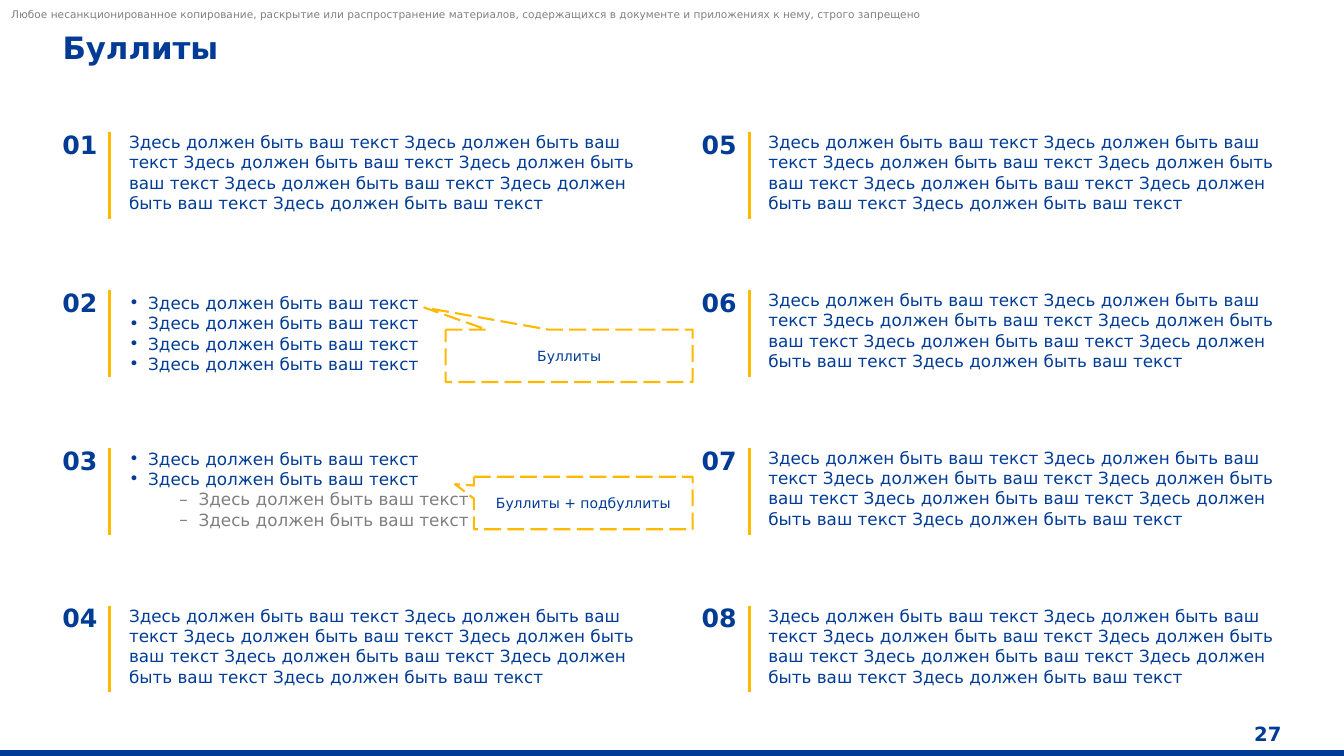
from dataclasses import dataclass

from lxml.etree import SubElement
from pptx import Presentation
from pptx.dml.color import RGBColor
from pptx.enum.dml import MSO_LINE
from pptx.enum.shapes import MSO_CONNECTOR, MSO_SHAPE
from pptx.enum.text import MSO_ANCHOR, MSO_AUTO_SIZE, PP_ALIGN
from pptx.oxml.ns import qn
from pptx.util import Inches, Pt

FONT = "DejaVu Sans"
BLUE, YELLOW, GREY, SUB_GREY, WHITE = "003C96", "FFB900", "808080", "7F7F7F", "FFFFFF"
SAMPLE = "Здесь должен быть ваш текст"
NOTICE = ("Любое несанкционированное копирование, раскрытие или распространение материалов, "
          "содержащихся в документе и приложениях к нему, строго запрещено")

COLUMN_LEFTS = (0.62, 6.96)
ROWS = 4
FIRST_TOP = 1.31
ROW_PITCH = 4.7 / 3
BAR_HEIGHT = 0.86
HANGING = 0.19


@dataclass
class Line:
    text: str
    bullet: str = ""
    level: int = 0
    color: str = BLUE


@dataclass
class Callout:
    text: str
    left: float
    top: float
    width: float
    tip: tuple[float, float]


PLAIN = [Line(" ".join([SAMPLE] * 7))]
BULLET = Line(SAMPLE, "•")
SUB_BULLET = Line(SAMPLE, "–", 1, SUB_GREY)
SPECIAL_BODIES = {2: [BULLET] * 4, 3: [BULLET] * 2 + [SUB_BULLET] * 2}
BODY_SHIFTS = {2: 0.03, 3: 0.01}

CALLOUTS = [
    Callout("Буллиты", 4.42, 3.27, 2.45, (-0.587, -0.922)),
    Callout("Буллиты + подбуллиты", 4.7, 4.73, 2.17, (-0.586, -0.358)),
]


def rgb(color: str) -> RGBColor:
    return RGBColor.from_string(color)


def add_run(paragraph, text: str, size: float, color: str, bold: bool = False) -> None:
    run = paragraph.add_run()
    run.text = text
    run.font.name = FONT
    run.font.size = Pt(size)
    run.font.bold = bold
    run.font.color.rgb = rgb(color)


def set_frame(shape, anchor: MSO_ANCHOR, side: float = 0, vertical: float = 0):
    frame = shape.text_frame
    frame.word_wrap = True
    frame.auto_size = MSO_AUTO_SIZE.NONE
    frame.vertical_anchor = anchor
    frame.margin_left = frame.margin_right = Inches(side)
    frame.margin_top = frame.margin_bottom = Inches(vertical)
    return frame


def set_bullet(paragraph, line: Line) -> None:
    paragraph.level = line.level
    properties = paragraph._p.get_or_add_pPr()
    properties.set("marL", str(Inches(HANGING + 0.5 * line.level)))
    properties.set("indent", str(Inches(-HANGING)))
    SubElement(properties, qn("a:buFont")).set("typeface", FONT)
    SubElement(properties, qn("a:buChar")).set("char", line.bullet)


def add_text(shapes, left: float, top: float, width: float, height: float,
             lines: list[Line], size: float, bold: bool = False,
             anchor: MSO_ANCHOR = MSO_ANCHOR.TOP,
             alignment: PP_ALIGN = PP_ALIGN.LEFT) -> None:
    box = shapes.add_textbox(Inches(left), Inches(top), Inches(width), Inches(height))
    frame = set_frame(box, anchor)
    for index, line in enumerate(lines):
        paragraph = frame.add_paragraph() if index else frame.paragraphs[0]
        paragraph.alignment = alignment
        if line.bullet:
            set_bullet(paragraph, line)
        add_run(paragraph, line.text, size, line.color, bold)


def add_marker(shapes, number: int, left: float, top: float) -> None:
    group = shapes.add_group_shape()
    add_text(group.shapes, left, top - 0.03, 0.44, 0.3, [Line(f"{number:02}")], 18, bold=True)
    bar_left = Inches(left + 0.47)
    bar = group.shapes.add_connector(MSO_CONNECTOR.STRAIGHT, bar_left, Inches(top),
                                     bar_left, Inches(top + BAR_HEIGHT))
    bar.line.color.rgb = rgb(YELLOW)
    bar.line.width = Pt(2.25)
    SubElement(bar._element.spPr, qn("a:effectLst"))


def add_callout(shapes, callout: Callout) -> None:
    shape = shapes.add_shape(MSO_SHAPE.RECTANGULAR_CALLOUT, Inches(callout.left),
                             Inches(callout.top), Inches(callout.width), Inches(0.52))
    shape.adjustments[0], shape.adjustments[1] = callout.tip
    shape.shadow.inherit = False
    shape.fill.solid()
    shape.fill.fore_color.rgb = rgb(WHITE)
    shape.line.color.rgb = rgb(YELLOW)
    shape.line.width = Pt(1.5)
    shape.line.dash_style = MSO_LINE.LONG_DASH
    paragraph = set_frame(shape, MSO_ANCHOR.MIDDLE, 0.04, 0.05).paragraphs[0]
    paragraph.alignment = PP_ALIGN.CENTER
    add_run(paragraph, callout.text, 10, BLUE)


def add_title(slide, text: str) -> None:
    title = slide.shapes.title
    title.left, title.top = Inches(0.62), Inches(0.28)
    title.width, title.height = Inches(10.94), Inches(0.37)
    paragraph = set_frame(title, MSO_ANCHOR.TOP).paragraphs[0]
    paragraph.alignment = PP_ALIGN.LEFT
    add_run(paragraph, text, 22, BLUE, bold=True)


def add_footer_band(shapes) -> None:
    band = shapes.add_shape(MSO_SHAPE.RECTANGLE, 0, Inches(7.45), Inches(13.33), Inches(0.05))
    band.shadow.inherit = False
    band.fill.solid()
    band.fill.fore_color.rgb = rgb(BLUE)
    band.line.color.rgb = rgb(BLUE)
    band.line.width = Pt(1)


def main() -> None:
    presentation = Presentation()
    presentation.slide_width, presentation.slide_height = Inches(13.33), Inches(7.5)
    slide = presentation.slides.add_slide(presentation.slide_layouts[5])
    shapes = slide.shapes

    # Page frame
    add_footer_band(shapes)
    add_text(shapes, 0.11, 0.07, 11.48, 0.13, [Line(NOTICE, color=GREY)], 7.5,
             anchor=MSO_ANCHOR.BOTTOM)
    add_title(slide, "Буллиты")
    add_text(shapes, 12.14, 7.16, 0.57, 0.24, [Line("27")], 14, bold=True,
             anchor=MSO_ANCHOR.MIDDLE, alignment=PP_ALIGN.RIGHT)

    # Numbered items, column by column
    for column, left in enumerate(COLUMN_LEFTS):
        for row in range(ROWS):
            number = column * ROWS + row + 1
            top = FIRST_TOP + row * ROW_PITCH
            add_marker(shapes, number, left, top)
            add_text(shapes, left + 0.66, top + BODY_SHIFTS.get(number, 0), 5.1, 0.81,
                     SPECIAL_BODIES.get(number, PLAIN), 12)

    # Callouts over the bulleted items
    for callout in CALLOUTS:
        add_callout(shapes, callout)

    presentation.save("out.pptx")


if __name__ == "__main__":
    main()
